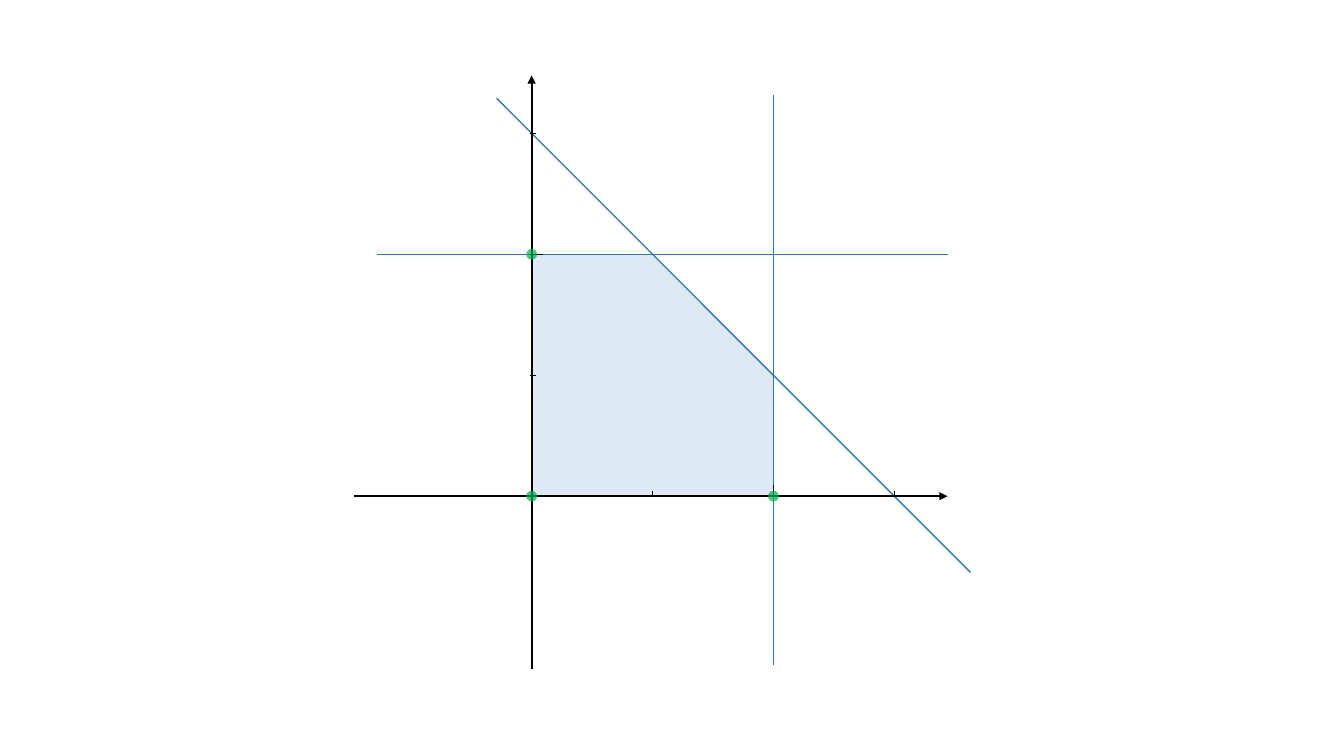
from dataclasses import dataclass

from lxml import etree
from pptx import Presentation
from pptx.dml.color import RGBColor
from pptx.enum.shapes import MSO_CONNECTOR, MSO_SHAPE
from pptx.oxml.ns import qn
from pptx.util import Cm, Pt

STRAIGHT = MSO_CONNECTOR.STRAIGHT
RECTANGLE = MSO_SHAPE.RECTANGLE
TRIANGLE = MSO_SHAPE.ISOSCELES_TRIANGLE
OVAL = MSO_SHAPE.OVAL


@dataclass(frozen=True)
class Theme:
    axis: RGBColor = RGBColor(0x00, 0x00, 0x00)
    constraint: RGBColor = RGBColor(0x2E, 0x75, 0xB6)
    region: RGBColor = RGBColor(0xBD, 0xD7, 0xEE)
    vertex: RGBColor = RGBColor(0x00, 0xB0, 0x50)
    paper: RGBColor = RGBColor(0xFF, 0xFF, 0xFF)
    thin: float = 1
    thick: float = 1.5


THEME = Theme()


@dataclass
class Plot:
    """Coordinate system fitted to a box given in centimetres."""
    shapes: object
    left: float
    top: float
    size: float
    x_min: float = -1.47
    x_max: float = 3.44
    y_min: float = -1.43
    y_max: float = 3.48

    @property
    def unit(self):
        return self.size / (self.x_max - self.x_min)

    def place(self, x, y):
        return (Cm(self.left + (x - self.x_min) * self.unit),
                Cm(self.top + (self.y_max - y) * self.unit))

    def add_line(self, start, end, color, width=THEME.thin, arrow=False):
        line = self.shapes.add_connector(STRAIGHT, *self.place(*start), *self.place(*end))
        line.line.color.rgb = color
        line.line.width = Pt(width)
        properties = line._element.spPr
        if arrow:
            etree.SubElement(properties.find(qn("a:ln")), qn("a:tailEnd"), type="triangle")
        etree.SubElement(properties, qn("a:effectLst"))

    def add_area(self, kind, x, y, side, color, opacity=100):
        """Add a filled square shape whose upper left corner is at (x, y)."""
        length = Cm(side * self.unit)
        shape = self.shapes.add_shape(kind, *self.place(x, y), length, length)
        shape.shadow.inherit = False
        shape.fill.solid()
        shape.fill.fore_color.rgb = color
        shape.line.fill.background()
        if opacity < 100:
            fill_color = shape._element.spPr.find(qn("a:solidFill"))[0]
            etree.SubElement(fill_color, qn("a:alpha"), val=str(opacity * 1000))
        return shape


def draw_feasible_region(plot):
    plot.add_area(RECTANGLE, 0, 2, 2, THEME.region, opacity=50)
    cut_corner = plot.add_area(TRIANGLE, 1, 2, 1, THEME.paper)
    cut_corner.adjustments[0] = 0
    cut_corner.rotation = 180


def draw_constraints(plot):
    for start, end in (
        ((-0.29, 3.29), (3.63, -0.63)),
        ((2, 3.32), (2, -1.4)),
        ((-1.28, 2), (plot.x_max, 2)),
    ):
        plot.add_line(start, end, THEME.constraint)


def draw_axes(plot):
    for start, end in (
        ((plot.x_min, 0), (plot.x_max, 0)),
        ((0, plot.y_min), (0, plot.y_max)),
    ):
        plot.add_line(start, end, THEME.axis, THEME.thick, arrow=True)
    for value, length in ((1, 0.04), (2, 0.09), (3, 0.04)):
        plot.add_line((value, length), (value, -0.01), THEME.axis)
        plot.add_line((-0.01, value), (length, value), THEME.axis)


def draw_vertices(plot, diameter=0.09):
    for x, y in ((0, 0), (2, 0), (0, 2)):
        plot.add_area(OVAL, x - diameter / 2, y + diameter / 2, diameter,
                      THEME.vertex, opacity=70)


def draw_graph(slide, left, top, size):
    plot = Plot(slide.shapes.add_group_shape().shapes, left, top, size)
    draw_feasible_region(plot)
    draw_constraints(plot)
    draw_axes(plot)
    draw_vertices(plot)


def main():
    presentation = Presentation()
    presentation.slide_width = Cm(33.87)
    presentation.slide_height = Cm(19.05)
    slide = presentation.slides.add_slide(presentation.slide_layouts[6])
    draw_graph(slide, left=8.92, top=1.9, size=14.96)
    presentation.save("out.pptx")


if __name__ == "__main__":
    main()
